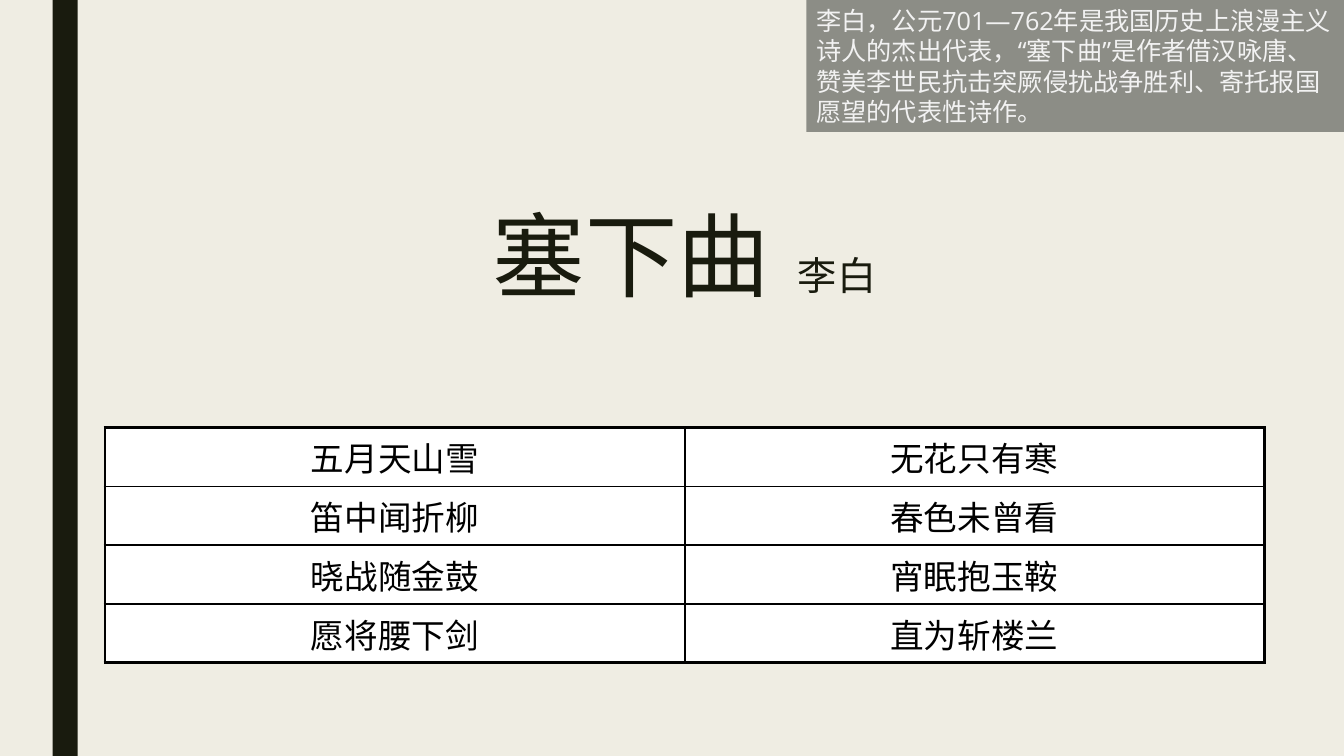
"""Build a slide presenting Li Bai's poem in a two-column table."""
from lxml.etree import SubElement
from pptx import Presentation
from pptx.dml.color import RGBColor
from pptx.enum.shapes import MSO_SHAPE
from pptx.enum.text import MSO_ANCHOR, PP_ALIGN
from pptx.oxml.ns import qn
from pptx.util import Pt

COLORS = {"paper": "EFEDE3", "ink": "191B0E", "note": "8C8D86",
          "note_text": "F2F2F2", "cell": "FFFFFF", "line": "000000"}
POEM = [("五月天山雪", "无花只有寒"), ("笛中闻折柳", "春色未曾看"),
        ("晓战随金鼓", "宵眠抱玉鞍"), ("愿将腰下剑", "直为斩楼兰")]
NOTE = ("李白，公元701—762年是我国历史上浪漫主义诗人的杰出代表，“塞下曲”是作者借汉咏唐、"
        "赞美李世民抗击突厥侵扰战争胜利、寄托报国愿望的代表性诗作。")


class SlideStyle:
    def __init__(self, slide):
        self.slide = slide
        self.fill(slide.background, "paper")

    def fill(self, target, color):
        target.fill.solid()
        target.fill.fore_color.rgb = RGBColor.from_string(COLORS[color])

    def font(self, font, name, size, color):
        font.name, font.size = name, Pt(size)
        font.color.rgb = RGBColor.from_string(COLORS[color])
        SubElement(font._element, qn("a:ea"), typeface=name)

    def rectangle(self, left, top, width, height, color):
        box = self.slide.shapes.add_shape(
            MSO_SHAPE.RECTANGLE, Pt(left), Pt(top), Pt(width), Pt(height))
        box.shadow.inherit = False
        box.line.fill.background()
        self.fill(box, color)
        return box

    def note(self, left, top, width, height, text):
        frame = self.rectangle(left, top, width, height, "note").text_frame
        frame.word_wrap = True
        para = frame.paragraphs[0]
        para.text, para.alignment = text, PP_ALIGN.LEFT
        para.line_spacing = Pt(21.5)
        self.font(para.font, "Open Sans", 18, "note_text")

    def title(self, left, top, width, height, title, author):
        box = self.slide.shapes.add_textbox(Pt(left), Pt(top), Pt(width), Pt(height))
        frame = box.text_frame
        frame.word_wrap = True
        para = frame.paragraphs[0]
        para.alignment, para.line_spacing = PP_ALIGN.CENTER, 0.89
        for text, size in ((title, 66), (" ", 44), (author, 28)):
            span = para.add_run()
            span.text = text
            self.font(span.font, "Noto Sans CJK JP", size, "ink")
            if text == " ":
                span.font._element.set("spc", "1000")

    def border(self, cell, side, width):
        line = SubElement(cell._tc.get_or_add_tcPr(), qn(f"a:{side}"), w=str(Pt(width)))
        SubElement(SubElement(line, qn("a:solidFill")), qn("a:srgbClr"), val=COLORS["line"])

    def table(self, left, top, width, row_height, rows):
        last_row, last_column = len(rows) - 1, len(rows[0]) - 1
        frame = self.slide.shapes.add_table(
            len(rows), len(rows[0]), Pt(left), Pt(top), Pt(width), Pt(row_height * len(rows)))
        for row_index, row in enumerate(rows):
            for column_index, text in enumerate(row):
                cell = frame.table.cell(row_index, column_index)
                outer = {"lnL": column_index == 0, "lnR": column_index == last_column,
                         "lnT": row_index == 0, "lnB": row_index == last_row}
                for side, is_outer in outer.items():
                    self.border(cell, side, 2.25 if is_outer else 1.5)
                self.fill(cell, "cell")
                cell.vertical_anchor = MSO_ANCHOR.MIDDLE
                para = cell.text_frame.paragraphs[0]
                para.text, para.alignment = text, PP_ALIGN.CENTER
                self.font(para.font, "Noto Sans CJK SC", 24, "line")


deck = Presentation()
deck.slide_width, deck.slide_height = Pt(960), Pt(540)
page = SlideStyle(deck.slides.add_slide(deck.slide_layouts[6]))
page.rectangle(37.5, 0, 18, 540, "ink")
page.title(75, 147.6, 828, 104.4, "塞下曲", "李白")
page.table(75, 305.5, 828, 42, POEM)
page.note(576, 0, 384, 94.3, NOTE)
deck.save("out.pptx")
